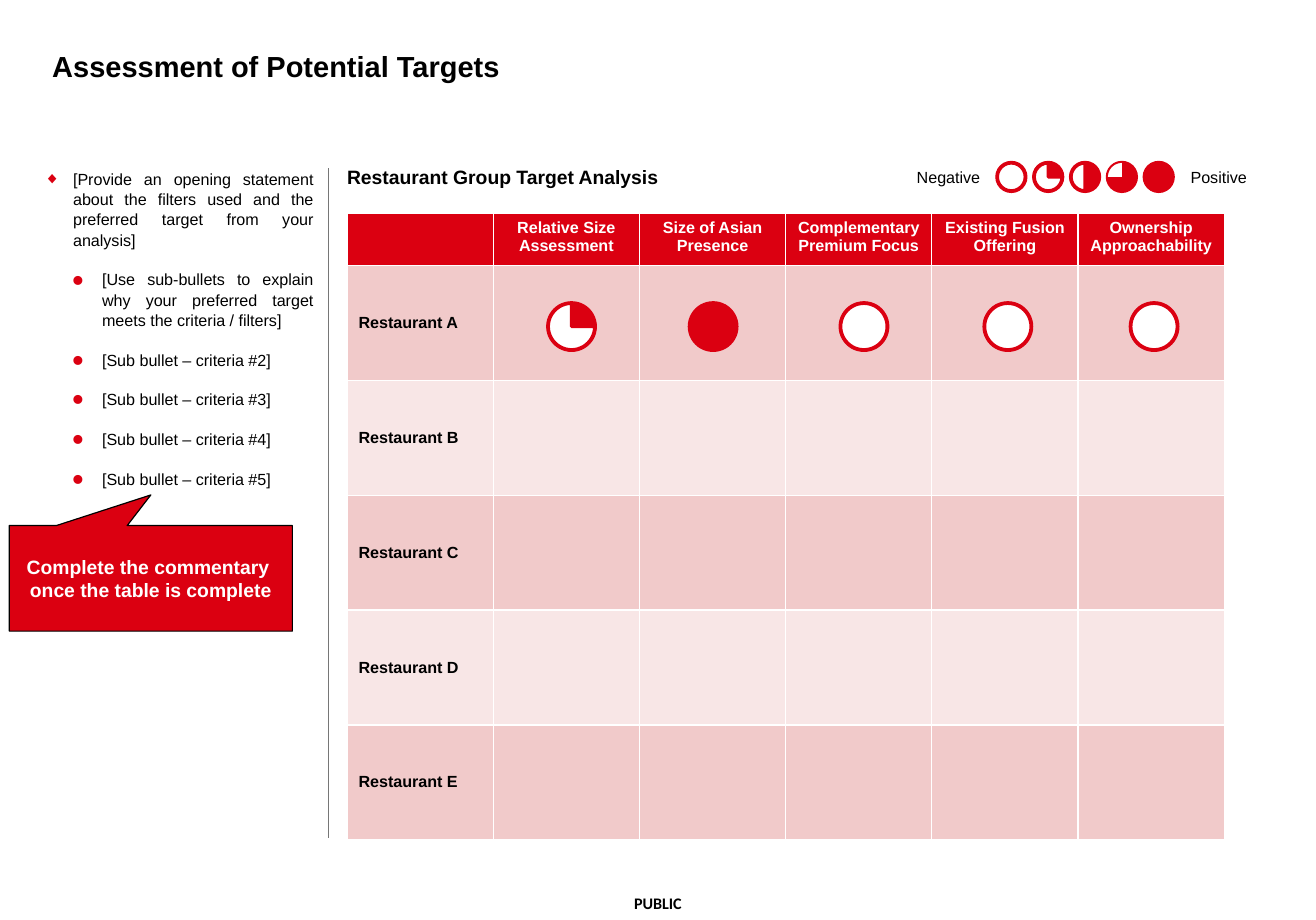
"""Build the slide that assesses potential restaurant acquisition targets."""
from dataclasses import dataclass

from lxml import etree
from pptx import Presentation
from pptx.dml.color import RGBColor
from pptx.enum import shapes, text
from pptx.oxml import ns
from pptx.util import Inches, Pt


@dataclass(frozen=True)
class Theme:
    red: RGBColor = RGBColor(0xDB, 0x00, 0x11)
    dark_band: RGBColor = RGBColor(0xF1, 0xCA, 0xCA)
    light_band: RGBColor = RGBColor(0xF8, 0xE6, 0xE6)
    grey: RGBColor = RGBColor(0x76, 0x76, 0x76)
    black: RGBColor = RGBColor(0, 0, 0)
    white: RGBColor = RGBColor(0xFF, 0xFF, 0xFF)
    font: str = "Arial"
    footer_font: str = "Calibri"
    title_size: int = 18
    heading_size: int = 12
    body_size: int = 10


theme = Theme()
presentation = Presentation()
presentation.slide_width = Inches(11.34)
presentation.slide_height = Inches(7.93)
slide = presentation.slides.add_slide(presentation.slide_layouts[1])


def write(frame, words, size, color=theme.black, bold=False,
          align=text.PP_ALIGN.LEFT, font=theme.font):
    frame.text = words
    for paragraph in frame.paragraphs:
        paragraph.alignment = align
        for run in paragraph.runs:
            run.font.name = font
            run.font.size = Pt(size)
            run.font.bold = bold
            run.font.color.rgb = color


def add_ball(left, top, size, quarters):
    layers = [(shapes.MSO_SHAPE.OVAL, 0, theme.red)]
    if quarters == 0:
        layers.append((shapes.MSO_SHAPE.OVAL, 0.01, theme.white))
    elif quarters < 4:
        layers.append((shapes.MSO_SHAPE.PIE, 0.01, theme.white))
    for preset, inset, color in layers:
        width = Inches(size - inset)
        ball = slide.shapes.add_shape(
            preset, Inches(left + inset / 2), Inches(top + inset / 2), width, width)
        ball.shadow.inherit = False
        ball.fill.solid()
        ball.fill.fore_color.rgb = color
        if preset == shapes.MSO_SHAPE.PIE:
            ball.adjustments[0] = 90 * (quarters - 1) * 0.6
            ball.adjustments[1] = 270 * 0.6
        if preset == shapes.MSO_SHAPE.PIE and quarters == 3:
            ball.line.fill.background()
        else:
            ball.line.color.rgb = theme.red
            ball.line.width = Pt(2)


title = slide.shapes.title
title.left, title.top, title.width, title.height = map(Inches, (0.45, 0.45, 10.43, 0.27))
write(title.text_frame, "Assessment of Potential Targets", theme.title_size, bold=True)
title.text_frame.paragraphs[0].line_spacing = 0.9

commentary = [
    "[Provide an opening statement about the filters used and the preferred target from your analysis]",
    "[Use sub-bullets to explain why your preferred target meets the criteria / filters]",
    *[f"[Sub bullet – criteria #{number}]" for number in range(2, 6)],
]
body = slide.placeholders[1]
body.left, body.top, body.width, body.height = map(Inches, (0.38, 1.45, 2.32, 5.8))
write(body.text_frame, "\n".join(commentary), theme.body_size, align=text.PP_ALIGN.JUSTIFY)
for index, paragraph in enumerate(body.text_frame.paragraphs):
    paragraph.level = min(index, 1)
    paragraph.line_spacing = 1.05
    paragraph.space_before = Pt(0)
    paragraph.space_after = Pt(12)
    properties = paragraph._p.get_or_add_pPr()
    properties.set("marL", str(Inches(0.25 * (paragraph.level + 1))))
    properties.set("indent", str(Inches(-0.25)))
    bullet_color = etree.SubElement(properties, ns.qn("a:buClr"))
    etree.SubElement(bullet_color, ns.qn("a:srgbClr"), val=str(theme.red))
    etree.SubElement(properties, ns.qn("a:buChar"), char="◆⚫"[paragraph.level])

for frame in (title.text_frame, body.text_frame):
    frame.auto_size = text.MSO_AUTO_SIZE.NONE
    frame.margin_left = frame.margin_right = frame.margin_top = frame.margin_bottom = 0

divider = slide.shapes.add_connector(
    shapes.MSO_CONNECTOR.STRAIGHT, Inches(2.83), Inches(1.45), Inches(2.83), Inches(7.22))
divider.line.color.rgb = theme.grey
divider.line.width = Pt(1)
etree.SubElement(divider._element.spPr, ns.qn("a:effectLst"))

labels = [
    ("Restaurant Group Target Analysis", 2.99, 1.42, 3.85, 0.2, theme.heading_size, True,
     text.PP_ALIGN.LEFT, theme.font),
    ("Negative", 7.9, 1.44, 0.57, 0.17, theme.body_size, False, text.PP_ALIGN.LEFT, theme.font),
    ("Positive", 10.26, 1.44, 0.61, 0.17, theme.body_size, False, text.PP_ALIGN.LEFT, theme.font),
    ("PUBLIC", 5.32, 7.7, 0.7, 0.17, theme.body_size, True,
     text.PP_ALIGN.CENTER, theme.footer_font),
]
for words, left, top, width, height, size, bold, align, font in labels:
    label = slide.shapes.add_textbox(*map(Inches, (left, top, width, height)))
    frame = label.text_frame
    frame.word_wrap = True
    frame.margin_left = frame.margin_right = frame.margin_top = frame.margin_bottom = 0
    write(frame, words, size, bold=bold, align=align, font=font)

criteria = ["", "Relative Size Assessment", "Size of Asian Presence",
            "Complementary Premium Focus", "Existing Fusion Offering",
            "Ownership Approachability"]
targets = [f"Restaurant {letter}" for letter in "ABCDE"]
table = slide.shapes.add_table(
    len(targets) + 1, len(criteria), Inches(2.99), Inches(1.84), Inches(7.56), Inches(5.4)).table
for column in table.columns:
    column.width = Inches(1.26)
for row_index, row in enumerate(table.rows):
    row.height = Inches(0.99 if row_index else 0.45)
    band = theme.dark_band if row_index % 2 else theme.light_band
    for cell in row.cells:
        cell.fill.solid()
        cell.fill.fore_color.rgb = band if row_index else theme.red
for index, criterion in enumerate(criteria):
    write(table.cell(0, index).text_frame, criterion, theme.body_size, theme.white, True,
          text.PP_ALIGN.CENTER)
for index, target in enumerate(targets, start=1):
    cell = table.cell(index, 0)
    cell.vertical_anchor = text.MSO_ANCHOR.MIDDLE
    write(cell.text_frame, target, theme.body_size, bold=True)

for quarters in range(5):
    add_ball(8.59 + 0.3175 * quarters, 1.4, 0.25, quarters)
for left, quarters in [(4.72, 1), (5.94, 4), (7.24, 0), (8.48, 0), (9.74, 0)]:
    add_ball(left, 2.61, 0.41, quarters)

callout = slide.shapes.add_shape(
    shapes.MSO_SHAPE.RECTANGULAR_CALLOUT, *map(Inches, (0.08, 4.53, 2.44, 0.91)))
callout.shadow.inherit = False
callout.adjustments[0] = 0
callout.adjustments[1] = -0.79
callout.fill.solid()
callout.fill.fore_color.rgb = theme.red
callout.line.color.rgb = theme.black
callout.line.width = Pt(0.75)
callout.text_frame.vertical_anchor = text.MSO_ANCHOR.MIDDLE
write(callout.text_frame, "Complete the commentary \vonce the table is complete",
      theme.heading_size, theme.white, True, text.PP_ALIGN.CENTER)

presentation.save("out.pptx")
